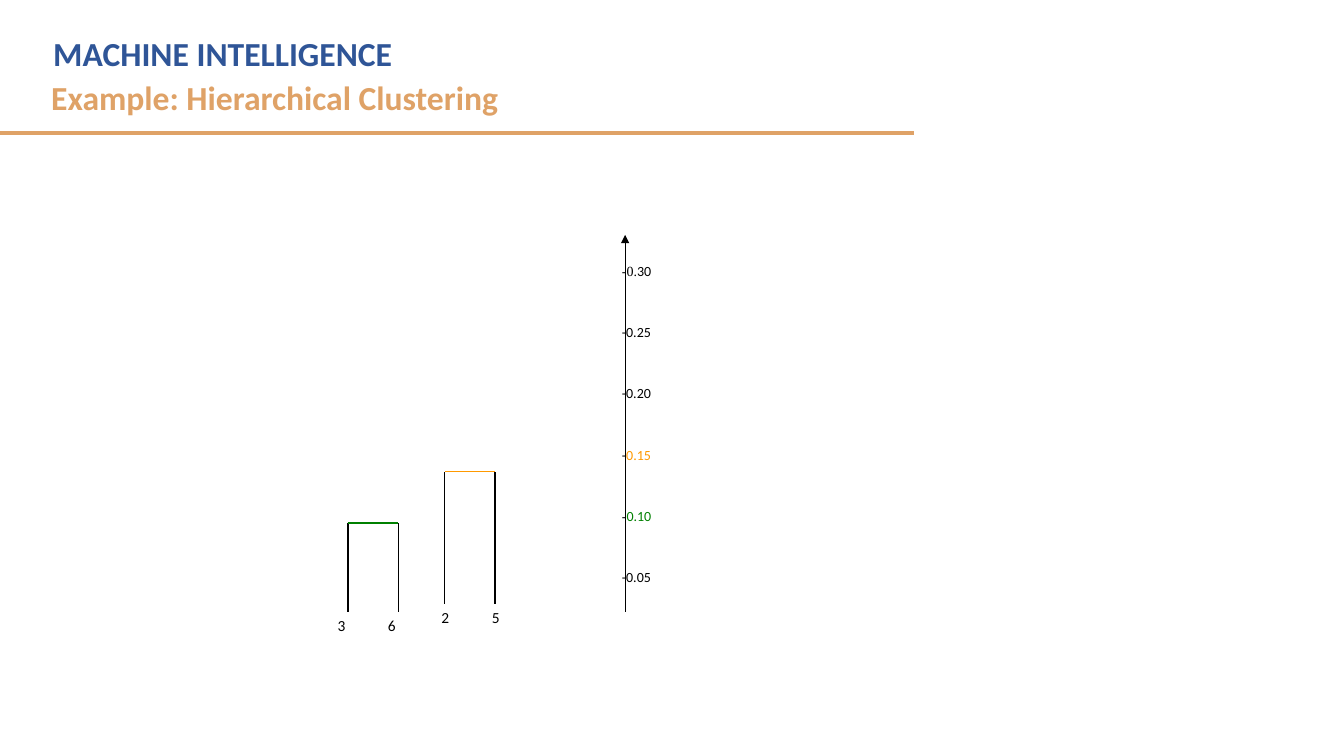
import pptx
import pptx.util
import pptx.dml.color
import pptx.enum.shapes
import lxml.etree
from pptx.util import Inches, Pt
from pptx.dml.color import RGBColor

BLACK = RGBColor(0, 0, 0)
GREEN = RGBColor(0, 0x80, 0)
ORANGE = RGBColor(0xFF, 0x99, 0)
SAND = RGBColor(0xDF, 0xA2, 0x67)
BLUE = RGBColor(0x2F, 0x55, 0x97)
SANS = "Calibri"
SERIF = "Times New Roman"

deck = pptx.Presentation()
deck.slide_width = Inches(13.33)
deck.slide_height = Inches(7.5)
slide = deck.slides.add_slide(deck.slide_layouts[6])


def add_line(x1, y1, x2, y2, color, width):
    line = slide.shapes.add_connector(
        pptx.enum.shapes.MSO_CONNECTOR.STRAIGHT,
        Inches(x1), Inches(y1), Inches(x2), Inches(y2))
    line.line.color.rgb = color
    line.line.width = Pt(width)
    lxml.etree.SubElement(line._element.spPr, pptx.oxml.ns.qn("a:effectLst"))
    return line


def add_text(x, y, w, h, rows, size, bold=False, gap=0):
    box = slide.shapes.add_textbox(Inches(x), Inches(y), Inches(w), Inches(h))
    frame = box.text_frame
    frame.word_wrap = True
    for i, row in enumerate(rows):
        para = frame.add_paragraph() if i else frame.paragraphs[0]
        para.space_after = Pt(gap)
        for text, face, color in row:
            run = para.add_run()
            run.text = text
            run.font.name = face
            run.font.size = Pt(size)
            run.font.bold = bold
            run.font.color.rgb = color


add_line(-0.01, 1.32, 9.07, 1.32, SAND, 3)

ticks = [
    [("-0.", SERIF, BLACK), ("30", SANS, BLACK)],
    [("-0.25", SANS, BLACK)],
    [("-0.20", SANS, BLACK)],
    [("-", SANS, BLACK), ("0.15", SANS, ORANGE)],
    [("-", SERIF, BLACK), ("0.10", SANS, GREEN)],
    [("-0.05", SANS, BLACK)],
]
add_text(6.07, 2.55, 0.5, 3.29, ticks, 10, gap=31.8)
axis = add_line(6.2, 6.07, 6.2, 2.33, BLACK, 0.75)
head = lxml.etree.SubElement(axis.line._get_or_add_ln(), pptx.oxml.ns.qn("a:tailEnd"))
head.set("type", "triangle")

pairs = [
    ("36", 3.45, 3.25, 6.07, 5.19, GREEN),
    ("25", 4.41, 4.28, 5.99, 4.68, ORANGE),
]
for names, left, label, base, top, color in pairs:
    for i, name in enumerate(names):
        step = 0.5 * i
        add_text(label + step, base - 0.01, 0.37, 0.44, [[(name, SANS, BLACK)]], 11)
        add_line(left + step, base, left + step, top, BLACK, 1)
    add_line(left, top, left + 0.5, top, color, 1)

add_text(0.41, 0.71, 8.75, 0.5, [[("Example: Hierarchical Clustering", SANS, SAND)]], 24, True)
add_text(0.43, 0.28, 8.2, 0.5, [[("MACHINE INTELLIGENCE", SANS, BLUE)]], 24, True)

deck.save("out.pptx")
